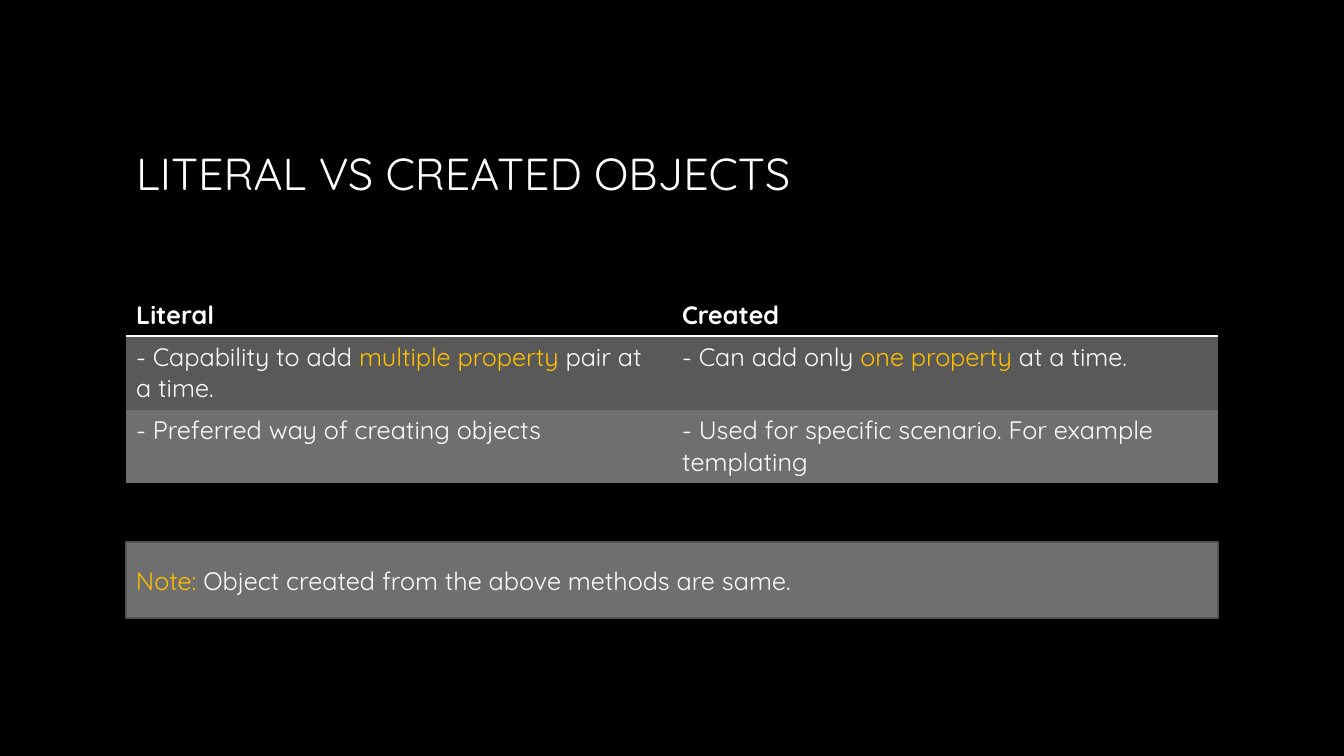
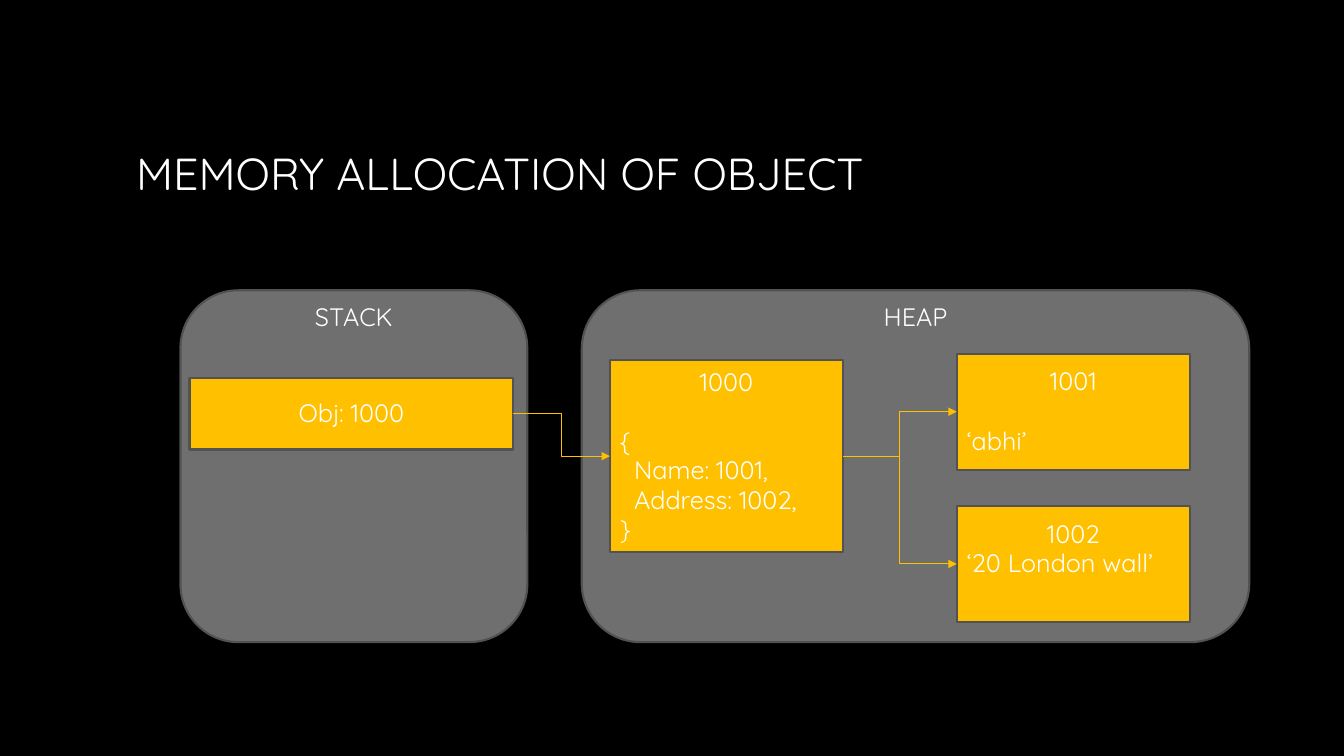
import pptx
import pptx.dml.color
import pptx.enum.shapes
import pptx.enum.text
import pptx.oxml
import pptx.oxml.ns
import pptx.util
from pptx.util import Inches

FONT = "Quicksand"
BLACK, WHITE, AMBER = "000000", "FFFFFF", "FFC000"
PANEL, DARK_PANEL, OUTLINE = "6F6F6F", "595959", "525252"
NO_TABLE_STYLE = "{2D5ABB26-0587-4C30-8999-92F81FD0307C}"
LEFT, WIDTH = 1.25, 10.83
BODY_SIZE = 18
SHAPE = pptx.enum.shapes.MSO_SHAPE
ALIGN = pptx.enum.text.PP_ALIGN
MIDDLE = pptx.enum.text.MSO_ANCHOR.MIDDLE


def rgb(value):
    return pptx.dml.color.RGBColor.from_string(value)


def paint(fill, color):
    fill.solid()
    fill.fore_color.rgb = rgb(color)


def xml(tag, content="", attributes=""):
    namespace = pptx.oxml.ns.nsdecls("a")
    return pptx.oxml.parse_xml(f"<a:{tag} {namespace} {attributes}>{content}</a:{tag}>")


class Deck:
    def __init__(self):
        self.presentation = pptx.Presentation()
        self.presentation.slide_width = Inches(13.33)
        self.presentation.slide_height = Inches(7.5)
        paint(self.presentation.slide_master.background.fill, BLACK)
        self.slide = None

    def add_slide(self, title):
        layout = self.presentation.slide_layouts.get_by_name("Title Only")
        self.slide = self.presentation.slides.add_slide(layout)
        heading = self.slide.shapes.title
        heading.left, heading.top = Inches(LEFT), Inches(0.67)
        heading.width, heading.height = Inches(WIDTH), Inches(2.08)
        heading.text_frame.vertical_anchor = MIDDLE
        self.set_text(heading.text_frame.paragraphs[0], title, size=32)

    def set_text(self, paragraph, text, size=BODY_SIZE, align=ALIGN.LEFT, bold=False):
        """Set text in white; parts between asterisks become amber."""
        paragraph.alignment = align
        font = paragraph.font
        font.name, font.size, font.bold = FONT, pptx.util.Pt(size), bold
        font.color.rgb = rgb(WHITE)
        for index, part in enumerate(text.split("*")):
            if part:
                run = paragraph.add_run()
                run.text = part
                if index % 2:
                    run.font.color.rgb = rgb(AMBER)

    def box(self, kind, left, top, width, height, color):
        shape = self.slide.shapes.add_shape(
            kind, Inches(left), Inches(top), Inches(width), Inches(height))
        shape.shadow.inherit = False
        paint(shape.fill, color)
        shape.line.color.rgb = rgb(OUTLINE)
        shape.line.width = pptx.util.Pt(1.5)
        shape.text_frame.word_wrap = True
        shape.text_frame.vertical_anchor = MIDDLE
        return shape

    def note(self, text, top, height):
        shape = self.box(SHAPE.RECTANGLE, LEFT, top, WIDTH, height, PANEL)
        self.set_text(shape.text_frame.paragraphs[0], text)

    def region(self, label, left, width):
        """Draw a rounded memory region with its label near the top edge."""
        shape = self.box(SHAPE.ROUNDED_RECTANGLE, left, 2.88, width, 3.49, PANEL)
        shape.text_frame.margin_top = 0
        shape.text_frame.margin_bottom = Inches(2.98)
        self.set_text(shape.text_frame.paragraphs[0], label, align=ALIGN.CENTER)

    def memory(self, address, left, top, width, height, content=(), gap=0, below=0.05):
        """Draw a memory cell: centred address, then (text, indent) lines after a gap."""
        shape = self.box(SHAPE.RECTANGLE, left, top, width, height, AMBER)
        frame = shape.text_frame
        frame.margin_bottom = Inches(below)
        heading = frame.paragraphs[0]
        heading.line_spacing = 0.96
        heading.space_after = pptx.util.Pt(gap)
        self.set_text(heading, address, align=ALIGN.CENTER)
        for text, indent in content:
            paragraph = frame.add_paragraph()
            paragraph.line_spacing = 0.96
            paragraph._p.get_or_add_pPr().set("marL", str(Inches(indent)))
            self.set_text(paragraph, text)
        return shape

    def arrow(self, source, target):
        """Join the right side of source to the left side of target."""
        connector = self.slide.shapes.add_connector(
            pptx.enum.shapes.MSO_CONNECTOR.ELBOW,
            source.left + source.width, source.top + source.height // 2,
            target.left, target.top + target.height // 2)
        connector.begin_connect(source, 3)
        connector.end_connect(target, 1)
        connector.line.color.rgb = rgb(AMBER)
        connector.line.width = pptx.util.Pt(0.75)
        properties = connector._element.spPr
        properties.find(pptx.oxml.ns.qn("a:ln")).append(
            xml("tailEnd", attributes='type="triangle"'))
        properties.append(xml("effectLst"))

    def table(self, rows, top, heights, fills):
        table = self.slide.shapes.add_table(
            len(rows), len(rows[0]), Inches(LEFT), Inches(top),
            Inches(WIDTH), Inches(sum(heights))).table
        table.horz_banding = False
        table._tbl.tblPr.find(pptx.oxml.ns.qn("a:tableStyleId")).text = NO_TABLE_STYLE
        for r, (texts, height, color) in enumerate(zip(rows, heights, fills)):
            table.rows[r].height = Inches(height)
            for c, text in enumerate(texts):
                cell = table.cell(r, c)
                paint(cell.fill, color)
                self.set_text(cell.text_frame.paragraphs[0], text, bold=r == 0)
                if r == 0:
                    self.underline(cell)

    def underline(self, cell):
        rule = xml("lnB", f'<a:solidFill><a:srgbClr val="{WHITE}"/></a:solidFill>',
                   f'w="{pptx.util.Pt(2)}"')
        cell._tc.get_or_add_tcPr().insert(0, rule)


def main():
    deck = Deck()

    deck.add_slide("LITERAL VS CREATED OBJECTS")
    deck.table(
        [("Literal", "Created"),
         ("- Capability to add *multiple property *pair at a time.",
          "- Can add only *one property *at a time."),
         ("- Preferred way of creating objects",
          "- Used for specific scenario. For example templating")],
        top=2.92, heights=(0.41, 0.73, 0.73), fills=(BLACK, DARK_PANEL, PANEL))
    deck.note("*Note: *Object created from the above methods are same.", 5.38, 0.75)

    deck.add_slide("MEMORY ALLOCATION OF OBJECT")
    deck.region("HEAP", 5.77, 6.62)
    deck.region("STACK", 1.79, 3.44)
    reference = deck.memory("Obj: 1000", 1.88, 3.75, 3.21, 0.71)
    record = deck.memory(
        "1000", 6.05, 3.57, 2.31, 1.91,
        [("{", 0), ("Name: 1001,", 0.14), ("Address: 1002,", 0.14), ("}", 0)], gap=21.6)
    name = deck.memory("1001", 9.49, 3.51, 2.31, 1.15, [("‘abhi’", 0)], gap=21.6)
    address = deck.memory("1002", 9.49, 5.02, 2.31, 1.15,
                          [("‘20 London wall’", 0)], below=0.35)
    for source, target in ((reference, record), (record, name), (record, address)):
        deck.arrow(source, target)

    deck.presentation.save("out.pptx")


if __name__ == "__main__":
    main()
